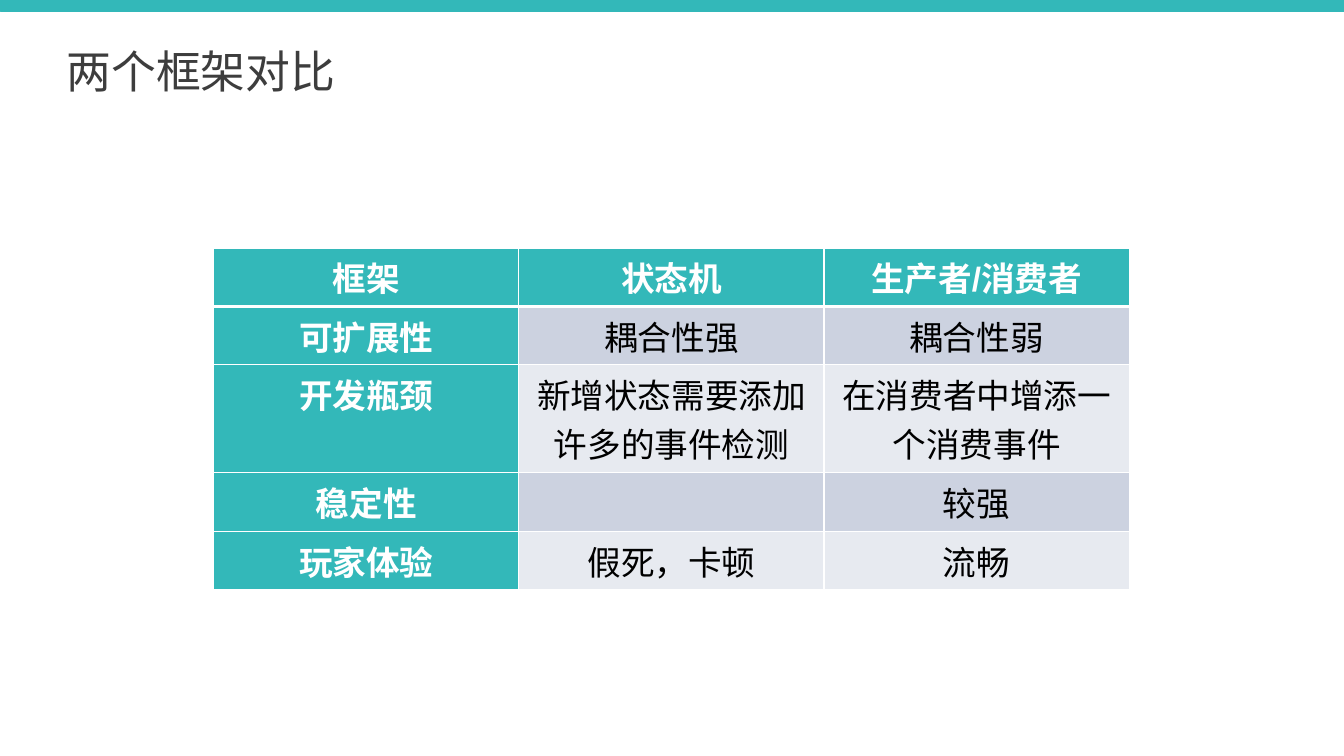
import pptx
import pptx.util
import pptx.dml.color
import pptx.enum.shapes
import pptx.enum.text
import pptx.oxml.ns
import lxml.etree

THEME = {
    "font": "Arial",
    "title_size": 32,
    "table_size": 24,
    "teal": "33B8B9",
    "title": "3D3D3D",
    "white": "FFFFFF",
    "black": "000000",
    "bands": ["E7EAF0", "CCD2E0"],
}
COMPARISON = [
    ["框架", "状态机", "生产者/消费者"],
    ["可扩展性", "耦合性强", "耦合性弱"],
    ["开发瓶颈", "新增状态需要添加许多的事件检测", "在消费者中增添一个消费事件"],
    ["稳定性", "", "较强"],
    ["玩家体验", "假死，卡顿", "流畅"],
]
ROW_HEIGHTS = [0.58, 0.58, 1.07, 0.58, 0.58]
ALIGN = pptx.enum.text.PP_ALIGN
rgb = pptx.dml.color.RGBColor.from_string
inches = pptx.util.Inches


def write(frame, text, size, color, bold=False, align=ALIGN.LEFT, spacing=None):
    para = frame.paragraphs[0]
    para.alignment = align
    para.line_spacing = spacing
    if text:
        span = para.add_run()
        span.text = text
        span.font.name = THEME["font"]
        span.font.size = pptx.util.Pt(size)
        span.font.bold = bold
        span.font.color.rgb = rgb(color)


def add_border(cell, side, width):
    qn = pptx.oxml.ns.qn
    properties = cell._tc.get_or_add_tcPr()
    line = lxml.etree.SubElement(properties, qn(f"a:ln{side}"), w=str(pptx.util.Pt(width)))
    fill = lxml.etree.SubElement(line, qn("a:solidFill"))
    lxml.etree.SubElement(fill, qn("a:srgbClr"), val=THEME["white"])


deck = pptx.Presentation()
deck.slide_width = inches(13.33)
deck.slide_height = inches(7.5)
page = deck.slides.add_slide(deck.slide_layouts[6])

top_bar = page.shapes.add_shape(
    pptx.enum.shapes.MSO_SHAPE.RECTANGLE, 0, 0, deck.slide_width, inches(0.11))
top_bar.shadow.inherit = False
top_bar.fill.solid()
top_bar.fill.fore_color.rgb = rgb(THEME["teal"])
top_bar.line.color.rgb = rgb(THEME["teal"])
top_bar.line.width = pptx.util.Pt(0.5)

title_box = page.shapes.add_textbox(inches(0.66), inches(0.4), inches(12), inches(0.67))
title_frame = title_box.text_frame
title_frame.word_wrap = True
title_frame.vertical_anchor = pptx.enum.text.MSO_ANCHOR.MIDDLE
title_frame.margin_left = title_frame.margin_right = 0
write(title_frame, "两个框架对比", size=THEME["title_size"], color=THEME["title"], spacing=0.9)

table = page.shapes.add_table(
    len(COMPARISON), len(COMPARISON[0]), inches(2.12), inches(2.46),
    inches(9.08), inches(sum(ROW_HEIGHTS))).table
table.first_col = True

for row, texts in enumerate(COMPARISON):
    table.rows[row].height = inches(ROW_HEIGHTS[row])
    for column, text in enumerate(texts):
        cell = table.cell(row, column)
        heading = row == 0 or column == 0
        for side in "LRTB":
            header_edge = (row == 0 and side == "B") or (row == 1 and side == "T")
            add_border(cell, side, 3 if header_edge else 1)
        cell.fill.solid()
        cell.fill.fore_color.rgb = rgb(THEME["teal"] if heading else THEME["bands"][row % 2])
        write(cell.text_frame, text, size=THEME["table_size"], bold=heading,
              color=THEME["white"] if heading else THEME["black"], align=ALIGN.CENTER)

deck.save("out.pptx")
